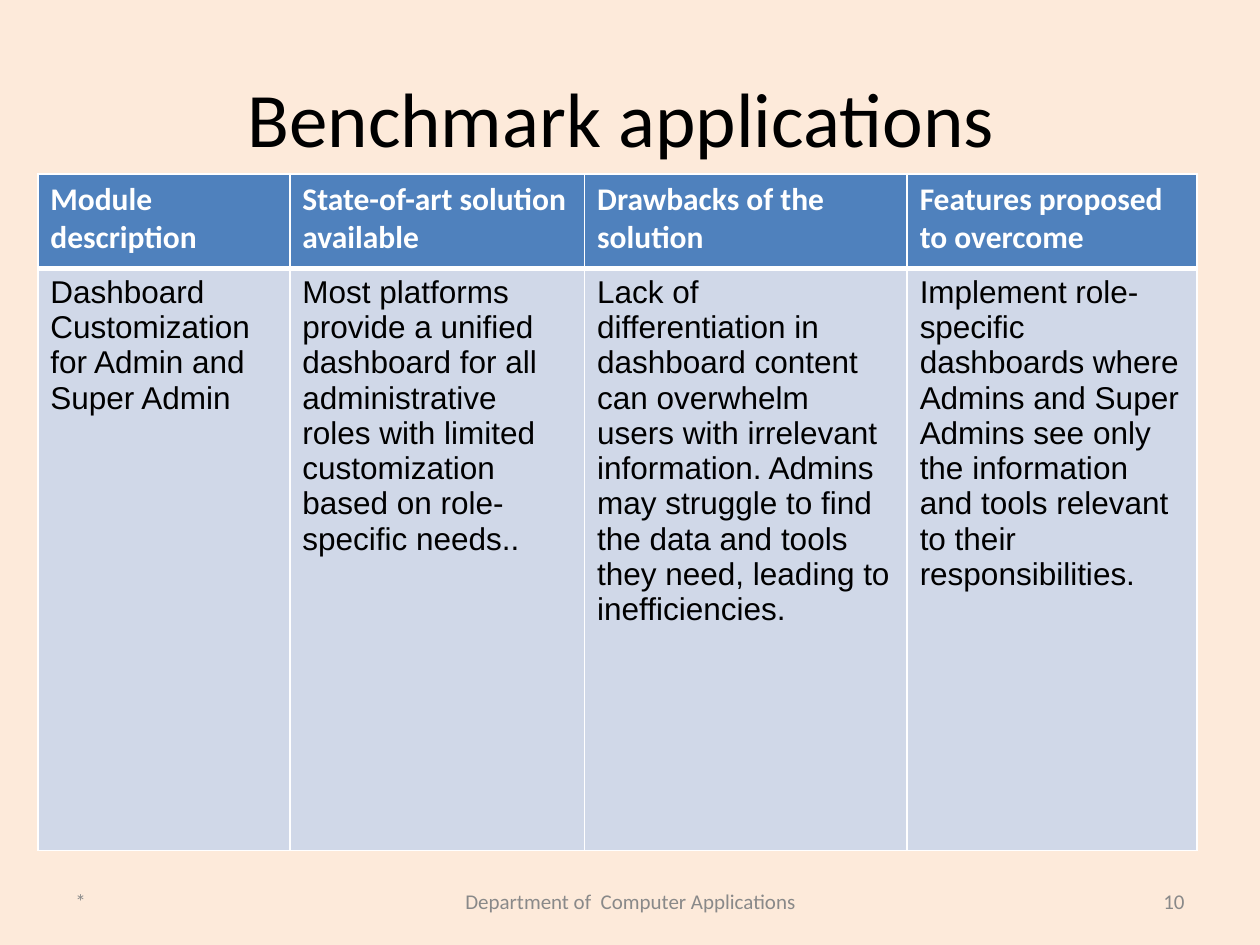
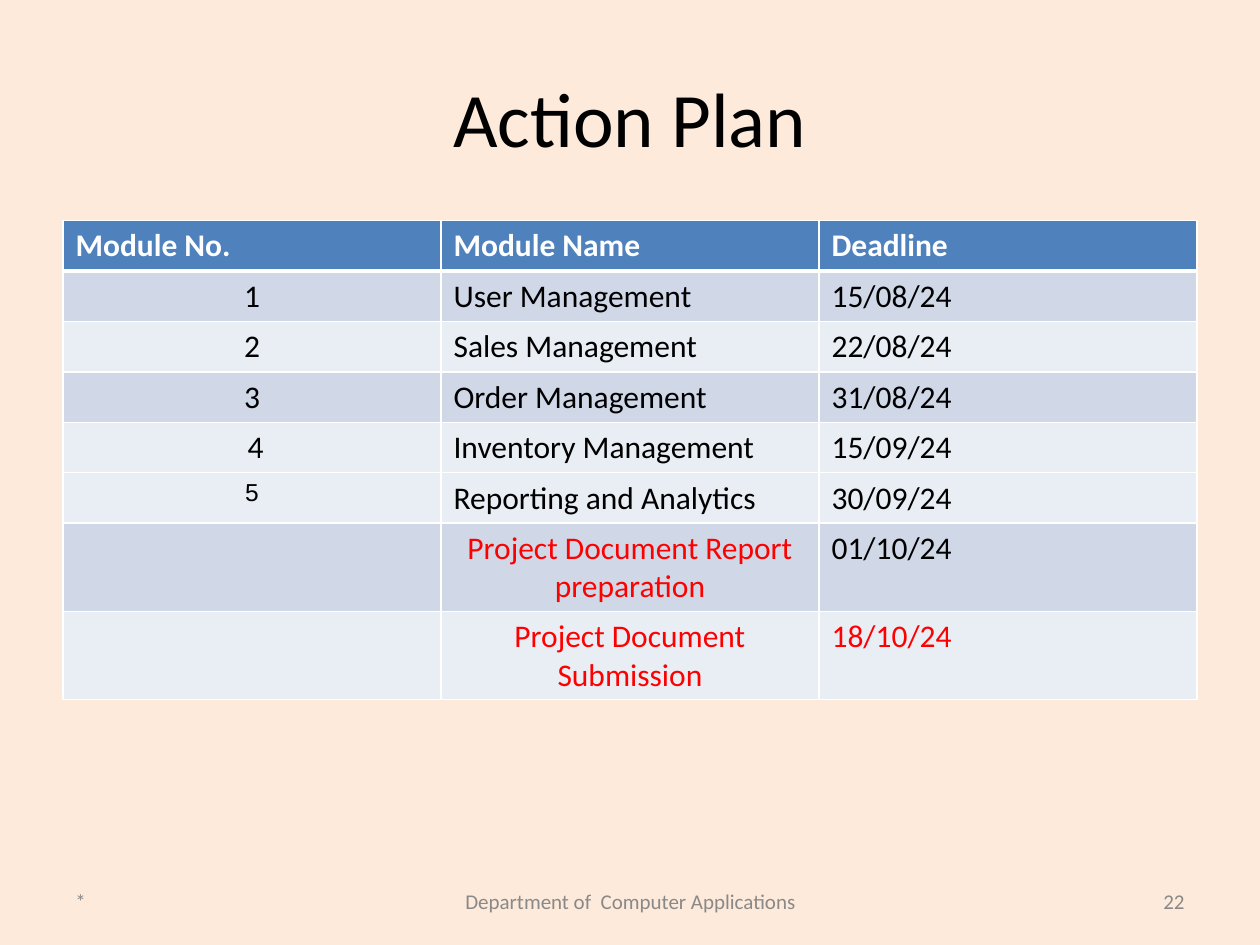
import dataclasses
import typing

import lxml.etree
import pptx
import pptx.dml.color
import pptx.enum.text
import pptx.oxml.ns
import pptx.presentation
import pptx.slide
import pptx.table
import pptx.text.text
import pptx.util

Align = pptx.enum.text.PP_ALIGN
Middle = pptx.enum.text.MSO_ANCHOR.MIDDLE

SLIDE_WIDTH = pptx.util.Inches(10)
SLIDE_HEIGHT = pptx.util.Inches(7.5)
GRID_COLUMNS, GRID_ROWS = 100, 75

BACKGROUND = "FDEADA"
HEADER_FILL = "4F81BD"
DARK_BAND = "D0D8E8"
LIGHT_BAND = "E9EDF4"
WHITE, BLACK, RED, GRAY = "FFFFFF", "000000", "FF0000", "898989"
THIN, THICK = 1, 3


@dataclasses.dataclass(frozen=True)
class Style:
    size: int = 18
    font: str = "Calibri"
    ink: str = BLACK
    bold: bool = False
    align: Align = Align.LEFT


@dataclasses.dataclass(frozen=True)
class Area:
    left: float
    top: float
    width: float
    height: float


@dataclasses.dataclass(frozen=True)
class Entry:
    text: str
    style: Style = Style()


@dataclasses.dataclass(frozen=True)
class Row:
    height: float
    fill: str
    entries: typing.Sequence[Entry]


@dataclasses.dataclass(frozen=True)
class TableSlide:
    title: str
    number: str
    left: float
    top: float
    widths: typing.Sequence[float]
    rows: typing.Sequence[Row]


TITLE = Style(size=44, align=Align.CENTER)
HEADER = Style(ink=WHITE, bold=True)
BODY = Style()
ARIAL = Style(font="Arial")
CENTERED = Style(align=Align.CENTER)
SMALL_NUMBER = Style(size=14, font="Arial", align=Align.CENTER)
MILESTONE = Style(ink=RED, align=Align.CENTER)
FINAL_DATE = Style(ink=RED)

TITLE_AREA = Area(5, 3, 90, 12.5)
FOOTER_TOP, FOOTER_HEIGHT = 69.5, 4


def across(columns: float) -> int:
    return round(SLIDE_WIDTH * columns / GRID_COLUMNS)


def down(rows: float) -> int:
    return round(SLIDE_HEIGHT * rows / GRID_ROWS)


def color(code: str) -> pptx.dml.color.RGBColor:
    return pptx.dml.color.RGBColor.from_string(code)


def write(frame: pptx.text.text.TextFrame, entry: Entry) -> None:
    frame.text = entry.text
    para = frame.paragraphs[0]
    para.alignment = entry.style.align
    for span in para.runs:
        span.font.size = pptx.util.Pt(entry.style.size)
        span.font.name = entry.style.font
        span.font.bold = entry.style.bold
        span.font.color.rgb = color(entry.style.ink)


def add_text(page: pptx.slide.Slide, area: Area, entry: Entry) -> None:
    box = page.shapes.add_textbox(
        across(area.left), down(area.top), across(area.width), down(area.height)
    )
    box.text_frame.word_wrap = True
    box.text_frame.vertical_anchor = Middle
    write(box.text_frame, entry)


def add_borders(cell: pptx.table._Cell, top: int, bottom: int) -> None:
    qualify = pptx.oxml.ns.qn
    properties = cell._tc.get_or_add_tcPr()
    for side, points in (("L", THIN), ("R", THIN), ("T", top), ("B", bottom)):
        line = lxml.etree.SubElement(
            properties, qualify(f"a:ln{side}"), w=str(pptx.util.Pt(points))
        )
        solid = lxml.etree.SubElement(line, qualify("a:solidFill"))
        lxml.etree.SubElement(solid, qualify("a:srgbClr"), val=WHITE)


def add_grid(page: pptx.slide.Slide, content: TableSlide) -> None:
    table = page.shapes.add_table(
        len(content.rows),
        len(content.widths),
        across(content.left),
        down(content.top),
        across(sum(content.widths)),
        down(sum(row.height for row in content.rows)),
    ).table
    table.first_row = False
    table.horz_banding = False
    for column, width in zip(table.columns, content.widths):
        column.width = across(width)
    for index, row in enumerate(content.rows):
        table.rows[index].height = down(row.height)
        for position, entry in enumerate(row.entries):
            cell = table.cell(index, position)
            add_borders(
                cell,
                top=THICK if index == 1 else THIN,
                bottom=THICK if index == 0 else THIN,
            )
            cell.fill.solid()
            cell.fill.fore_color.rgb = color(row.fill)
            write(cell.text_frame, entry)


def add_footer(page: pptx.slide.Slide, number: str) -> None:
    for left, width, text, align in (
        (5, 23.3, "*", Align.LEFT),
        (34.2, 31.7, "Department of  Computer Applications", Align.CENTER),
        (71.7, 23.3, number, Align.RIGHT),
    ):
        style = Style(size=12, ink=GRAY, align=align)
        area = Area(left, FOOTER_TOP, width, FOOTER_HEIGHT)
        add_text(page, area, Entry(text, style))


def add_page(deck: pptx.presentation.Presentation, content: TableSlide) -> None:
    page = deck.slides.add_slide(deck.slide_layouts[6])
    page.background.fill.solid()
    page.background.fill.fore_color.rgb = color(BACKGROUND)
    add_text(page, TITLE_AREA, Entry(content.title, TITLE))
    add_grid(page, content)
    add_footer(page, content.number)


def styled_row(
    height: float, fill: str, texts: typing.Sequence[str], *styles: Style
) -> Row:
    chosen = styles if len(styles) > 1 else styles * len(texts)
    return Row(height, fill, [Entry(*pair) for pair in zip(texts, chosen)])


BENCHMARK = TableSlide(
    title="Benchmark applications ",
    number="10",
    left=3,
    top=13.8,
    widths=(20, 23.4, 25.6, 23),
    rows=(
        styled_row(
            7.5,
            HEADER_FILL,
            (
                "Module description",
                "State-of-art solution available",
                "Drawbacks of the solution",
                "Features proposed to overcome",
            ),
            HEADER,
        ),
        styled_row(
            46.2,
            DARK_BAND,
            (
                "Dashboard Customization for Admin and Super Admin",
                "Most platforms provide a unified dashboard for all administrative "
                "roles with limited customization based on role-specific needs..",
                "Lack of differentiation in dashboard content can overwhelm users "
                "with irrelevant information. Admins may struggle to find the data "
                "and tools they need, leading to inefficiencies.",
                "Implement role-specific dashboards where Admins and Super Admins "
                "see only the information and tools relevant to their "
                "responsibilities.",
            ),
            ARIAL,
        ),
    ),
)

LINE, DOUBLE_LINE = 4, 7
MODULES = (
    ("1", "User Management", "15/08/24", DARK_BAND, CENTERED),
    ("2", "Sales Management", "22/08/24", LIGHT_BAND, CENTERED),
    ("3", "Order Management", "31/08/24", DARK_BAND, CENTERED),
    (" 4", "Inventory Management", "15/09/24", LIGHT_BAND, CENTERED),
    ("5", "Reporting and Analytics", "30/09/24", LIGHT_BAND, SMALL_NUMBER),
)
MILESTONES = (
    ("Project Document Report preparation", "01/10/24", DARK_BAND, BODY),
    ("Project Document Submission", "18/10/24", LIGHT_BAND, FINAL_DATE),
)

ACTION_PLAN = TableSlide(
    title="Action Plan",
    number="22",
    left=5,
    top=17.5,
    widths=(30,) * 3,
    rows=(
        styled_row(
            LINE, HEADER_FILL, ("Module No.", "Module Name", "Deadline"), HEADER
        ),
        *(
            styled_row(LINE, fill, (number, name, deadline), style, BODY, BODY)
            for number, name, deadline, fill, style in MODULES
        ),
        *(
            styled_row(DOUBLE_LINE, fill, ("", name, date), BODY, MILESTONE, style)
            for name, date, fill, style in MILESTONES
        ),
    ),
)


def main() -> None:
    deck = pptx.Presentation()
    deck.slide_width = SLIDE_WIDTH
    deck.slide_height = SLIDE_HEIGHT
    for content in (BENCHMARK, ACTION_PLAN):
        add_page(deck, content)
    deck.save("out.pptx")


if __name__ == "__main__":
    main()
